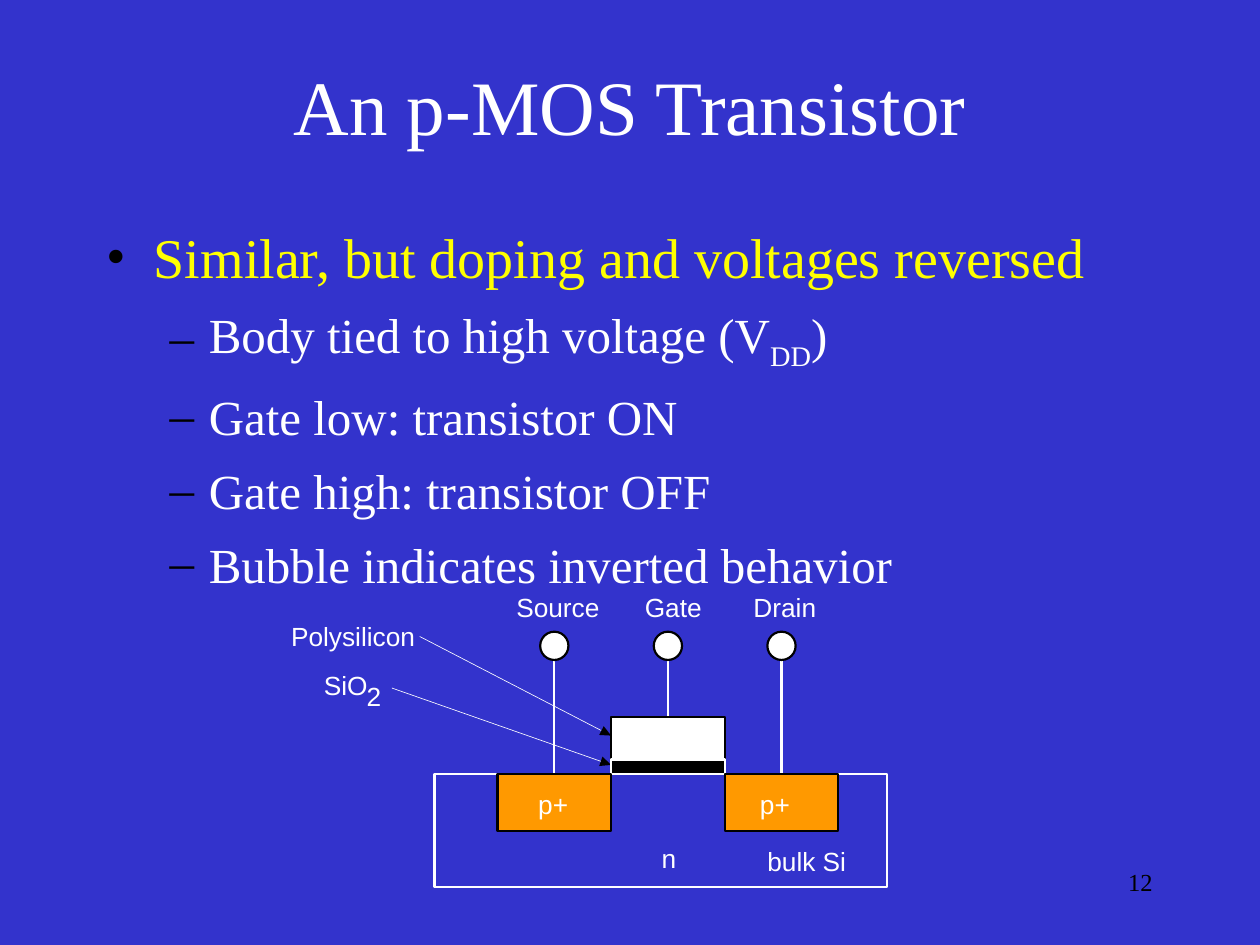
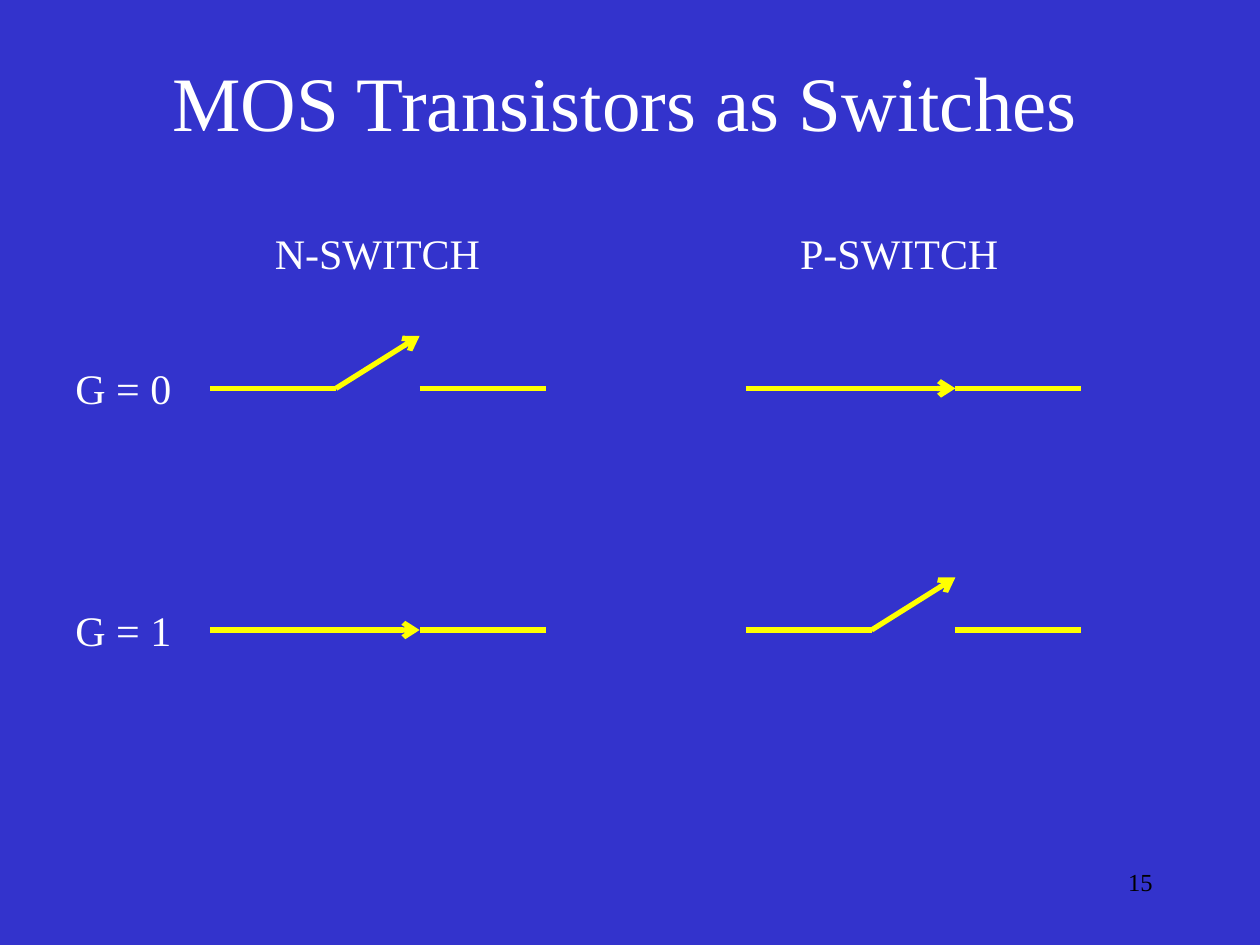
from math import hypot

from lxml.etree import SubElement
from pptx import Presentation
from pptx.dml.color import RGBColor
from pptx.enum.shapes import MSO_CONNECTOR, MSO_SHAPE
from pptx.enum.text import MSO_ANCHOR, MSO_AUTO_SIZE, PP_ALIGN
from pptx.oxml.ns import qn
from pptx.util import Cm, Pt

# Shared look; all lengths are in centimetres
COLORS = {"background": "3333CC", "text": "FFFFFF", "accent": "FFFF00",
          "ink": "000000", "doped": "FF9900"}
SERIF, SANS = "Times New Roman", "Arial"
TITLE = {"size": 44, "color": "text", "font": SERIF}
NUMBER = {"size": 14, "color": "ink", "font": SERIF}
CAPTION = {"size": 24, "color": "text", "font": SERIF}
LABEL = {"size": 15, "color": "text", "font": SANS}
LEVELS = [
    {"size": 32, "color": "accent", "bullet": "•", "left": 0.95, "hang": 0.95, "before": 0},
    {"size": 28, "color": "text", "bullet": "–", "left": 2.06, "hang": 0.79, "before": 8.5},
]
INSETS = {"margin_left": 0.25, "margin_top": 0.13, "margin_right": 0.25, "margin_bottom": 0.13}

# Transistor slide: bullets are (level, [(text, baseline), ...])
BULLETS = [
    (0, [("Similar, but doping and voltages reversed", 0)]),
    (1, [("Body tied to high voltage (V", 0), ("DD", -25000), (")", 0)]),
    (1, [("Gate low: transistor ON", 0)]),
    (1, [("Gate high: transistor OFF", 0)]),
    (1, [("Bubble indicates inverted behavior", 0)]),
]
LABELS = [  # text, left, top, width
    ("Source", 10.41, 11.91, 1.68), ("Gate", 13, 11.91, 1.14), ("Drain", 15.19, 11.91, 1.27),
    ("Polysilicon", 5.87, 12.5, 2.51), ("SiO", 6.53, 13.49, 0.89), ("2", 7.39, 13.72, 0.3),
    ("p+", 10.85, 15.9, 0.6), ("p+", 15.32, 15.9, 0.6),
    ("n", 13.34, 16.97, 0.3), ("bulk Si", 15.47, 17.04, 1.6),
]
POINTERS = [((8.46, 12.83), (12.32, 14.83)), ((7.9, 13.87), (12.32, 15.42))]
REGION_LEFT, REGION_WIDTH, SILICON_TOP = 10.03, 2.29, 15.6
GATE_TOP, GATE_HEIGHT, OXIDE_HEIGHT = 14.45, 0.86, 0.29
TERMINAL_Y, TERMINAL_SIZE = 13.02, 0.57

# Switch slide: heading, heading left, switch left, closed at G
SWITCHES = [("N-SWITCH", 5.29, 4.23, 1), ("P-SWITCH", 15.88, 15.03, 0)]
GATE_ROWS = [(0, 7.83), (1, 12.7)]
CONTACT, GAP, LIFT = 2.54, 1.69, 1.06


def rgb(name):
    return RGBColor.from_string(COLORS[name])


def set_all(target, values):
    for name, value in values.items():
        setattr(target, name, value)


def place(shape, left, top, width, height):
    set_all(shape, {"left": Cm(left), "top": Cm(top),
                    "width": Cm(width), "height": Cm(height)})


def add_span(para, text, style, baseline=0):
    span = para.add_run()
    span.text = text
    set_all(span.font, {"size": Pt(style["size"]), "name": style.get("font", SERIF)})
    span.font.color.rgb = rgb(style["color"])
    if baseline:
        span._r.get_or_add_rPr().set("baseline", str(baseline))


def set_frame(shape, insets=INSETS, wrap=True, anchor=MSO_ANCHOR.TOP):
    frame = shape.text_frame
    set_all(frame, {name: Cm(value) for name, value in insets.items()})
    set_all(frame, {"word_wrap": wrap, "auto_size": MSO_AUTO_SIZE.NONE,
                    "vertical_anchor": anchor})
    return frame


def add_text(page, text, area, style, align=PP_ALIGN.LEFT, **frame_options):
    box = page.shapes.add_textbox(*map(Cm, area))
    para = set_frame(box, **frame_options).paragraphs[0]
    para.alignment = align
    add_span(para, text, style)


def paint(shape, fill=None, line=None, width=1.25):
    shape.shadow.inherit = False
    if fill:
        shape.fill.solid()
        shape.fill.fore_color.rgb = rgb(fill)
    else:
        shape.fill.background()
    if line:
        shape.line.color.rgb = rgb(line)
        shape.line.width = Pt(width)
    else:
        shape.line.fill.background()


def add_part(page, kind, area, fill=None, line=None):
    paint(page.shapes.add_shape(kind, *map(Cm, area)), fill, line)


def add_line(page, start, end, color, width, arrow=False):
    line = page.shapes.add_connector(MSO_CONNECTOR.STRAIGHT, *map(Cm, (*start, *end)))
    line.line.color.rgb = rgb(color)
    line.line.width = Pt(width)
    if arrow:
        SubElement(line.line._get_or_add_ln(), qn("a:tailEnd"), type="arrow")
    SubElement(line._element.spPr, qn("a:effectLst"))


def add_pointer(page, start, tip, length=0.22, half=0.1):
    """Thin white line that ends in a solid dark head."""
    run, rise = tip[0] - start[0], tip[1] - start[1]
    reach = hypot(run, rise)
    across, down = run / reach, rise / reach
    base = (tip[0] - length * across, tip[1] - length * down)
    add_line(page, start, base, "text", 0.37)
    corners = [(base[0] - side * down, base[1] + side * across) for side in (half, -half)]
    head = page.shapes.build_freeform(Cm(tip[0]), Cm(tip[1]))
    head.add_line_segments([(Cm(x), Cm(y)) for x, y in corners], close=True)
    paint(head.convert_to_shape(), "ink")


def start_page(deck, layout, title, number, area, anchor, insets=INSETS):
    page = deck.slides.add_slide(deck.slide_layouts[layout])
    place(page.shapes.title, *area)
    para = set_frame(page.shapes.title, insets, anchor=anchor).paragraphs[0]
    para.alignment = PP_ALIGN.CENTER
    add_span(para, title, TITLE)
    add_text(page, number, (18.21, 17.35, 5.28, 1.27), NUMBER, PP_ALIGN.RIGHT)
    return page


def fill_bullets(body):
    place(body, 1.9, 4.24, 21.59, 12.7)
    frame = set_frame(body, {**INSETS, "margin_top": 0.25})
    for index, (level, spans) in enumerate(BULLETS):
        para = frame.add_paragraph() if index else frame.paragraphs[0]
        style = LEVELS[level]
        props = para._p.get_or_add_pPr()
        props.set("marL", str(Cm(style["left"])))
        props.set("indent", str(-Cm(style["hang"])))
        bullet_color = SubElement(props, qn("a:buClr"))
        SubElement(bullet_color, qn("a:srgbClr"), val=COLORS["ink"])
        SubElement(props, qn("a:buFont"), typeface=SERIF)
        SubElement(props, qn("a:buChar"), char=style["bullet"])
        set_all(para, {"level": level, "space_before": Pt(style["before"])})
        for text, baseline in spans:
            add_span(para, text, style, baseline)


def draw_transistor(page):
    rect = MSO_SHAPE.RECTANGLE
    regions = [REGION_LEFT + REGION_WIDTH * column for column in range(3)]
    source, gate, drain = regions

    # Silicon body, wires and terminals
    add_part(page, rect, (8.76, SILICON_TOP, 9.12, 2.29), line="text")
    radius = TERMINAL_SIZE / 2
    for left, wire_end in zip(regions, (SILICON_TOP, GATE_TOP, SILICON_TOP)):
        center = left + REGION_WIDTH / 2
        add_line(page, (center, TERMINAL_Y + radius), (center, wire_end), "text", 1.25)
        add_part(page, MSO_SHAPE.OVAL,
                 (center - radius, TERMINAL_Y - radius, TERMINAL_SIZE, TERMINAL_SIZE),
                 "text", "ink")

    # Pointers, gate stack and doped wells
    for start, tip in POINTERS:
        add_pointer(page, start, tip)
    add_part(page, rect, (gate, GATE_TOP, REGION_WIDTH, GATE_HEIGHT), "text", "ink")
    add_part(page, rect, (gate, SILICON_TOP - OXIDE_HEIGHT, REGION_WIDTH, OXIDE_HEIGHT),
             "ink", "text")
    for left in (source, drain):
        add_part(page, rect, (left, SILICON_TOP, REGION_WIDTH, REGION_WIDTH / 2), "doped", "ink")

    no_insets = dict.fromkeys(INSETS, 0)
    for text, left, top, width in LABELS:
        add_text(page, text, (left, top, width, 0.64), LABEL, insets=no_insets, wrap=False)


def draw_switch(page, left, y, closed):
    pivot = left + CONTACT
    contact = pivot + GAP
    add_line(page, (left, y), (pivot, y), "accent", 3)
    add_line(page, (pivot, y), (contact, y if closed else y - LIFT), "accent", 3, arrow=True)
    add_line(page, (contact, y), (contact + CONTACT, y), "accent", 3)


def main():
    deck = Presentation()
    deck.slide_width, deck.slide_height = Cm(25.4), Cm(19.05)
    backdrop = deck.slide_master.background.fill
    backdrop.solid()
    backdrop.fore_color.rgb = rgb("background")

    # Transistor slide
    page = start_page(deck, 1, "An p-MOS Transistor", "12",
                      (1.9, 0.84, 21.59, 2.54), MSO_ANCHOR.MIDDLE)
    fill_bullets(page.placeholders[1])
    draw_transistor(page)

    # Switch slide
    page = start_page(deck, 5, "MOS Transistors as Switches", "15",
                      (1.27, 0.84, 22.66, 2.13), MSO_ANCHOR.BOTTOM,
                      {**INSETS, "margin_bottom": 0})
    for heading, heading_left, left, closed_at in SWITCHES:
        add_text(page, heading, (heading_left, 4.45, 5.72, 1.27), CAPTION)
        for gate, y in GATE_ROWS:
            draw_switch(page, left, y, gate == closed_at)
    for gate, y in GATE_ROWS:
        add_text(page, f"G = {gate}", (1.27, y - 0.65, 2.75, 1.27), CAPTION)

    deck.save("out.pptx")


if __name__ == "__main__":
    main()
